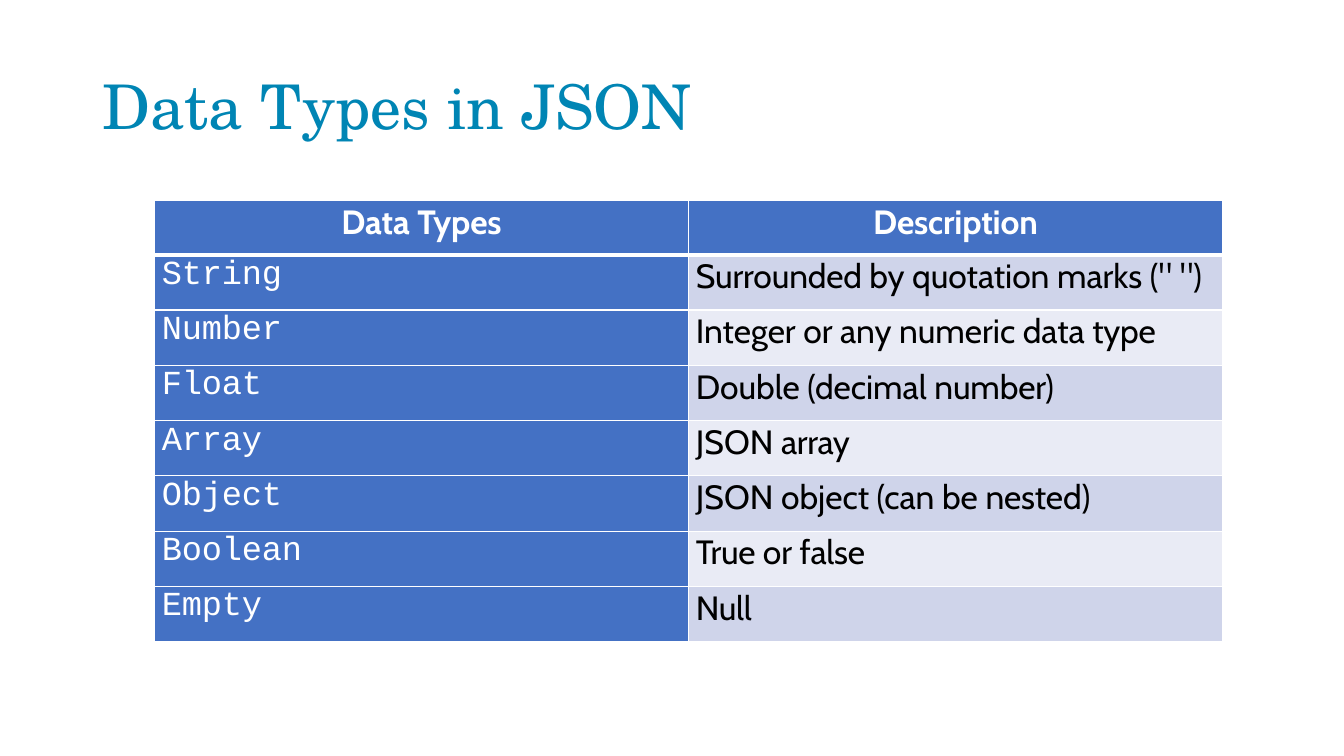
from pptx import Presentation
from pptx.dml.color import RGBColor as RGB
from pptx.enum.text import MSO_ANCHOR as Anchor, MSO_AUTO_SIZE as Fit, PP_ALIGN as Align
from pptx.util import Pt
from lxml.etree import SubElement as Sub
from pptx.oxml.ns import qn

WHITE = RGB(0xFF, 0xFF, 0xFF)
BLACK = RGB(0x00, 0x00, 0x00)
TEAL = RGB(0x00, 0x85, 0xB4)
BLUE = RGB(0x44, 0x71, 0xC4)
DARK = RGB(0xCF, 0xD4, 0xEA)
LIGHT = RGB(0xE9, 0xEB, 0xF5)


def write(para, runs, face, size, color, bold=False):
    # Each run is its text and its letter spacing in hundredths of a point
    for text, gap in runs:
        run = para.add_run()
        run.text = text
        font = run.font
        font.name, font.size, font.bold = face, Pt(size), bold
        font.color.rgb = color
        font._element.set("spc", str(gap))


def edge(cell, side, width):
    line = Sub(cell._tc.get_or_add_tcPr(), qn("a:ln" + side), w=str(Pt(width)))
    Sub(Sub(line, qn("a:solidFill")), qn("a:srgbClr"), val=str(WHITE))


deck = Presentation()
deck.slide_width, deck.slide_height = Pt(960), Pt(540)
slide = deck.slides.add_slide(deck.slide_layouts[5])

# Title
title = slide.shapes.title
title.left, title.top, title.width, title.height = Pt(72), Pt(47.5), Pt(731.5), Pt(54.7)
frame = title.text_frame
frame.margin_left = frame.margin_right = frame.margin_bottom = 0
frame.margin_top = Pt(1)
frame.vertical_anchor = Anchor.TOP
frame.auto_size = Fit.SHAPE_TO_FIT_TEXT
head = frame.paragraphs[0]
head.alignment = Align.LEFT
head.space_before = Pt(1)
head._p.get_or_add_pPr().set("marL", str(Pt(1)))
write(head, [("Data ", 0), ("Types ", -10), ("in ", 0), ("JSON", -20)],
      "TeX Gyre Schola", 44, TEAL)

# Table content: runs of the left cell, runs of the right cell
rows = [
    ([("Data ", 0), ("Types", -10)], [("Description", -10)]),
    ([("String", -10)], [("Surrounded ", -10), ("by quotation marks (\" ", 0), ("\")", -20)]),
    ([("Number", -10)], [("Integer or any numeric data ", 0), ("type", -20)]),
    ([("Float", -10)], [("Double (decimal ", 0), ("number)", -10)]),
    ([("Array", -10)], [("JSON ", 0), ("array", -20)]),
    ([("Object", -10)], [("JSON object (can be ", 0), ("nested)", -10)]),
    ([("Boolean", -10)], [("True ", -20), ("or ", 0), ("false", -10)]),
    ([("Empty", -10)], [("Null", -20)]),
]

# Table grid
table = slide.shapes.add_table(len(rows), 2, Pt(110.3), Pt(143.3), Pt(763), Pt(315)).table
for col in table.columns:
    col.width = Pt(381.5)
for r, row in enumerate(table.rows):
    row.height = Pt(39.5 if r else 38.7)

# Table cells
for r, pair in enumerate(rows):
    for c, runs in enumerate(pair):
        cell = table.cell(r, c)
        cell.margin_left = cell.margin_right = cell.margin_bottom = 0
        cell.margin_top = Pt(1)
        cell.vertical_anchor = Anchor.TOP
        for side, width in (("L", 1), ("R", 1), ("T", 3 if r == 1 else 1), ("B", 1 if r else 3)):
            edge(cell, side, width)
        cell.fill.solid()
        para = cell.text_frame.paragraphs[0]
        para.space_before = Pt(0.5 if r and c == 0 else 0.8)
        if r == 0:
            para.alignment = Align.CENTER
        else:
            para._p.get_or_add_pPr().set("marL", str(Pt(5.3)))
        if r == 0 or c == 0:
            cell.fill.fore_color.rgb = BLUE
            write(para, runs, "Courier New" if r else "Cabin", 24, WHITE, r == 0)
        else:
            cell.fill.fore_color.rgb = DARK if r % 2 else LIGHT
            write(para, runs, "Cabin", 24, BLACK)

deck.save("out.pptx")
